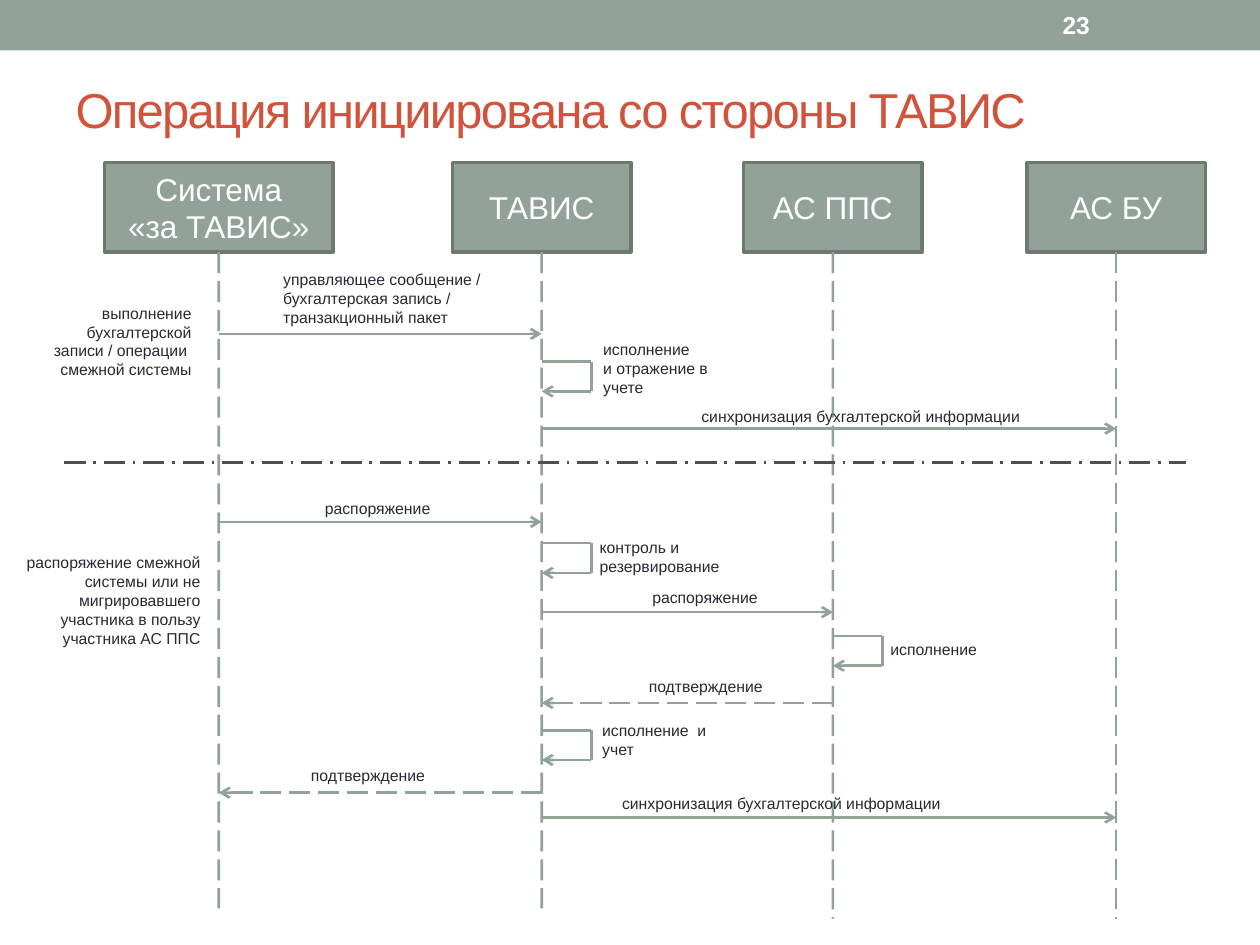
from typing import NamedTuple

from lxml import etree
from pptx import Presentation
from pptx.dml.color import RGBColor
from pptx.enum import dml, shapes, text
from pptx.oxml.ns import qn
from pptx.util import Cm, Pt

COLORS = {
    "sage": "93A299",
    "border": "6D7871",
    "divider": "47534C",
    "title": "D2533C",
    "ink": "292934",
    "white": "FFFFFF",
}
LEFT, CENTER, RIGHT = text.PP_ALIGN.LEFT, text.PP_ALIGN.CENTER, text.PP_ALIGN.RIGHT
TOP, MIDDLE = text.MSO_ANCHOR.TOP, text.MSO_ANCHOR.MIDDLE
DASH, DASH_DOT = dml.MSO_LINE.LONG_DASH, dml.MSO_LINE.LONG_DASH_DOT

# Lifeline positions and shared sizes, in centimetres
SYSTEM, CORE, PAYMENTS, LEDGER = 4.41, 10.92, 16.79, 22.5
HEAD_TOP, HEAD_HEIGHT = 3.28, 1.8
LOOP_WIDTH, LOOP_HEIGHT = 1, 0.6


class Participant(NamedTuple):
    name: str
    x: float
    width: float
    end: float


class Message(NamedTuple):
    start: float
    end: float
    y: float
    dash: object = None


class Loop(NamedTuple):
    x: float
    y: float


class Label(NamedTuple):
    words: str
    left: float
    top: float
    width: float
    lines: int = 1
    align: object = LEFT


PARTICIPANTS = [
    Participant("Система\n«за ТАВИС»", SYSTEM, 4.6, 18.31),
    Participant("ТАВИС", CORE, 3.6, 18.31),
    Participant("АС ППС", PAYMENTS, 3.6, 18.52),
    Participant("АС БУ", LEDGER, 3.6, 18.52),
]
MESSAGES = [
    Message(SYSTEM, CORE, 6.73),
    Message(CORE, LEDGER, 8.64),
    Message(SYSTEM, CORE, 10.52),
    Message(CORE, PAYMENTS, 12.34),
    Message(PAYMENTS, CORE, 14.17, DASH),
    Message(CORE, SYSTEM, 15.98, DASH),
    Message(CORE, LEDGER, 16.48),
]
LOOPS = [Loop(CORE, 7.29), Loop(CORE, 10.95), Loop(PAYMENTS, 12.82), Loop(CORE, 14.72)]
LABELS = [
    Label("управляющее сообщение / бухгалтерская запись /\nтранзакционный пакет",
          5.46, 5.31, 5, 3),
    Label("исполнение\nи отражение в\nучете", 11.91, 6.73, 3, 3),
    Label("синхронизация бухгалтерской информации", 13.89, 8.08, 7.39),
    Label("выполнение бухгалтерской записи / операции  смежной системы",
          0.3, 5.99, 3.81, 4, RIGHT),
    Label("распоряжение смежной системы или не мигрировавшего участника "
          "в пользу участника АС ППС", 0.2, 11.02, 4.09, 5, RIGHT),
    Label("распоряжение", 6.3, 9.93, 3.81),
    Label("контроль и резервирование", 11.84, 10.72, 3, 2),
    Label("распоряжение", 12.9, 11.73, 3.1),
    Label("исполнение", 17.7, 12.78, 2.51),
    Label("подтверждение", 12.83, 13.51, 3.07),
    Label("исполнение  и учет", 11.89, 14.4, 3, 2),
    Label("синхронизация бухгалтерской информации", 12.29, 15.88, 7.59),
    Label("подтверждение", 6.02, 15.32, 3.07),
]


def color(name: str) -> RGBColor:
    return RGBColor.from_string(COLORS[name])


def write(shape, words: str, *, size: float, ink: str, align=LEFT, anchor=TOP,
          bold: bool = False, spacing: float = 0) -> None:
    frame = shape.text_frame
    frame.text = words
    frame.word_wrap = True
    frame.auto_size = text.MSO_AUTO_SIZE.NONE
    frame.vertical_anchor = anchor
    for paragraph in frame.paragraphs:
        paragraph.alignment = align
        for run in paragraph.runs:
            run.font.name = "Arial"
            run.font.size = Pt(size)
            run.font.bold = bold
            run.font.color.rgb = color(ink)
            if spacing:
                run.font._element.set("spc", str(int(spacing * 100)))


def draw_box(canvas, left: float, top: float, width: float, height: float,
             border: str | None = None):
    box = canvas.add_shape(shapes.MSO_SHAPE.RECTANGLE,
                           Cm(left), Cm(top), Cm(width), Cm(height))
    box.shadow.inherit = False
    box.fill.solid()
    box.fill.fore_color.rgb = color("sage")
    if border:
        box.line.color.rgb = color(border)
        box.line.width = Pt(2.08)
    else:
        box.line.fill.background()
    return box


def draw_line(canvas, x1: float, y1: float, x2: float, y2: float, *,
              ink: str = "sage", dash=None, arrow: bool = False):
    line = canvas.add_connector(shapes.MSO_CONNECTOR.STRAIGHT,
                                Cm(x1), Cm(y1), Cm(x2), Cm(y2))
    line.line.color.rgb = color(ink)
    line.line.width = Pt(1.5)
    if dash:
        line.line.dash_style = dash
    if arrow:
        etree.SubElement(line.line._get_or_add_ln(), qn("a:tailEnd"), type="arrow")
    etree.SubElement(line._element.spPr, qn("a:effectLst"))
    return line


def draw_participant(canvas, who: Participant) -> None:
    head = draw_box(canvas, who.x - who.width / 2, HEAD_TOP, who.width, HEAD_HEIGHT,
                    "border")
    write(head, who.name, size=18, ink="white", align=CENTER, anchor=MIDDLE)
    lifeline = draw_line(canvas, who.x, HEAD_TOP + HEAD_HEIGHT, who.x, who.end, dash=DASH)
    lifeline.begin_connect(head, 2)


def draw_loop(canvas, loop: Loop) -> None:
    group = canvas.add_group_shape().shapes
    right, bottom = loop.x + LOOP_WIDTH, loop.y + LOOP_HEIGHT
    draw_line(group, loop.x, loop.y, right, loop.y)
    draw_line(group, right, loop.y, right, bottom)
    draw_line(group, right, bottom, loop.x, bottom, arrow=True)


def draw_label(canvas, label: Label) -> None:
    height = 0.25 + 0.39 * label.lines
    box = canvas.add_textbox(Cm(label.left), Cm(label.top), Cm(label.width), Cm(height))
    write(box, label.words, size=9, ink="ink", align=label.align)


def main() -> None:
    deck = Presentation()
    deck.slide_width, deck.slide_height = Cm(25.4), Cm(19.05)
    slide = deck.slides.add_slide(deck.slide_layouts[5])
    canvas = slide.shapes

    # Header bar, page number and title
    draw_box(canvas, 0, 0, 25.4, 1.02)
    page = canvas.add_textbox(Cm(21.17), Cm(0.05), Cm(2.96), Cm(0.91))
    write(page, "23", size=14, ink="white", anchor=MIDDLE, bold=True)
    title = canvas.title
    title.left, title.top, title.width, title.height = Cm(1.27), Cm(1.47), Cm(22.86), Cm(1.45)
    write(title, "Операция инициирована со стороны ТАВИС", size=28, ink="title",
          anchor=MIDDLE, spacing=-1)

    # Participants with their lifelines
    for participant in PARTICIPANTS:
        draw_participant(canvas, participant)

    # Divider between the two scenarios
    draw_line(canvas, 1.3, 9.32, 23.9, 9.32, ink="divider", dash=DASH_DOT)

    # Messages, self-calls and their labels
    for message in MESSAGES:
        draw_line(canvas, message.start, message.y, message.end, message.y,
                  dash=message.dash, arrow=True)
    for loop in LOOPS:
        draw_loop(canvas, loop)
    for label in LABELS:
        draw_label(canvas, label)

    deck.save("out.pptx")


if __name__ == "__main__":
    main()
